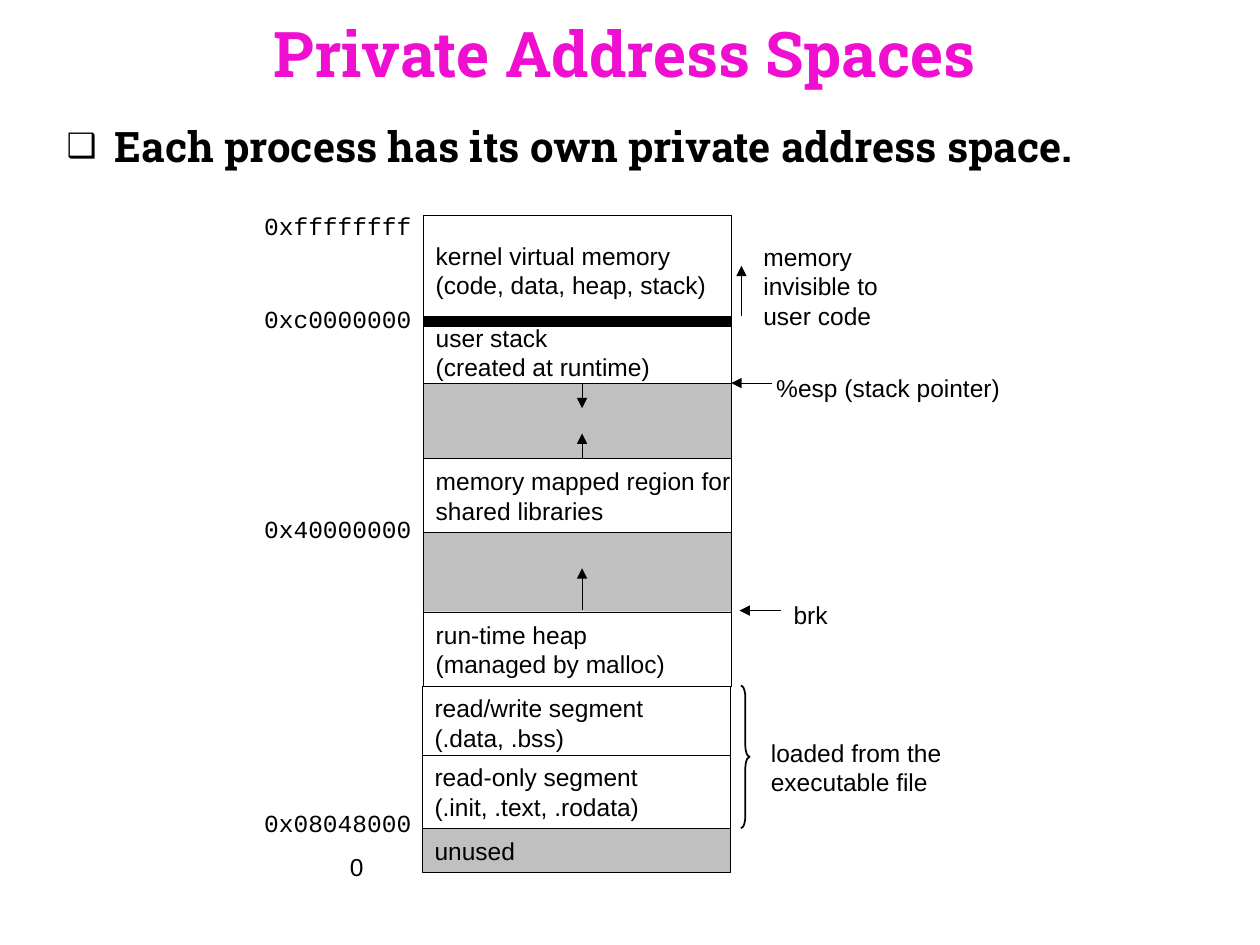
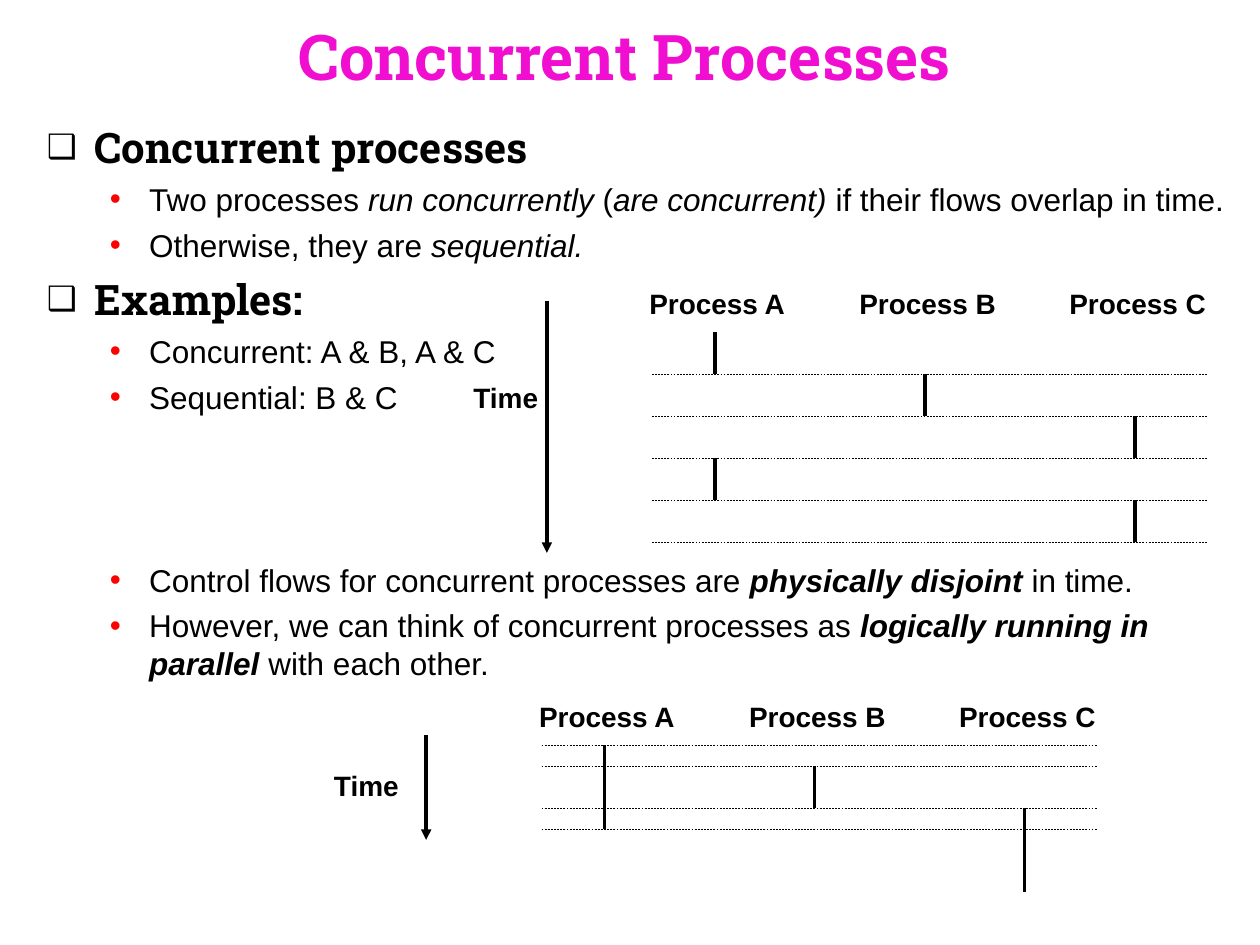
from dataclasses import dataclass

from lxml import etree
from pptx import Presentation
from pptx.dml.color import RGBColor
from pptx.enum import dml, shapes, text
from pptx.oxml import ns
from pptx.util import Pt


@dataclass(frozen=True)
class Theme:
    title_color: str = "F00ED0"
    ink: str = "000000"
    paper: str = "FFFFFF"
    unmapped: str = "C0C0C0"
    bullet: str = "FF0000"
    heading_font: str = "Roboto Slab"
    body_font: str = "Arial"
    code_font: str = "Courier New"
    title_size: float = 36
    heading_size: float = 24
    body_size: float = 18
    process_size: float = 16
    label_size: float = 14
    thin: float = 0.25
    thick: float = 2
    boundary: float = 6


THEME = Theme()


def color(value):
    return RGBColor.from_string(value)


def add_element(parent, tag, **attributes):
    return etree.SubElement(parent, ns.qn(tag), attributes)


def add_span(para, content, font=THEME.body_font, size=THEME.label_size,
             ink=THEME.ink, bold=False, italic=False):
    span = para.add_run()
    span.text = content
    span.font.name = font
    span.font.size = Pt(size)
    span.font.bold = bold
    span.font.italic = italic
    span.font.color.rgb = color(ink)


def write_lines(frame, content, align=text.PP_ALIGN.LEFT, wrap=False, **style):
    frame.word_wrap = wrap
    for index, line in enumerate(content.split("\n")):
        para = frame.paragraphs[0] if index == 0 else frame.add_paragraph()
        para.alignment = align
        add_span(para, line, **style)


def add_label(page, content, left, top, width, height=24.5, **style):
    box = page.shapes.add_textbox(Pt(left), Pt(top), Pt(width), Pt(height))
    box.text_frame.auto_size = text.MSO_AUTO_SIZE.SHAPE_TO_FIT_TEXT
    write_lines(box.text_frame, content, **style)


def add_line(page, start, end, width=THEME.thin, arrow=False, dashed=False):
    line = page.shapes.add_connector(
        shapes.MSO_CONNECTOR.STRAIGHT, *(Pt(value) for value in (*start, *end)))
    line.line.color.rgb = color(THEME.ink)
    line.line.width = Pt(width)
    if dashed:
        line.line.dash_style = dml.MSO_LINE.DASH
    if arrow:
        add_element(line.line._get_or_add_ln(), "a:tailEnd", type="triangle")
    add_element(line._element.spPr, "a:effectLst")


def add_page(deck, title, left, width, height):
    page = deck.slides.add_slide(deck.slide_layouts[5])
    box = page.shapes.title
    box.left, box.top, box.width, box.height = Pt(left), Pt(0), Pt(width), Pt(height)
    box.text_frame.auto_size = text.MSO_AUTO_SIZE.NONE
    box.text_frame.vertical_anchor = text.MSO_ANCHOR.MIDDLE
    write_lines(box.text_frame, title, align=text.PP_ALIGN.CENTER, wrap=True,
                font=THEME.heading_font, size=THEME.title_size,
                ink=THEME.title_color, bold=True)
    return page


def set_bullet(para, level):
    margin, indent, mark, ink = [
        (27.4, -27.4, "❑", THEME.ink), (58.5, -22.5, "•", THEME.bullet)][level]
    properties = para._p.get_or_add_pPr()
    properties.set("marL", str(Pt(margin)))
    properties.set("indent", str(Pt(indent)))
    add_element(add_element(properties, "a:buClr"), "a:srgbClr", val=ink)
    if level == 0:
        add_element(properties, "a:buSzPct", val="80000")
    add_element(properties, "a:buFont", typeface=THEME.body_font)
    add_element(properties, "a:buChar", char=mark)


def add_outline(page, left, top, width, height, items):
    frame = page.shapes.add_textbox(Pt(left), Pt(top), Pt(width), Pt(height)).text_frame
    frame.word_wrap = True
    for index, (level, gap, spans) in enumerate(items):
        para = frame.paragraphs[0] if index == 0 else frame.add_paragraph()
        para.level = level
        para.space_before = Pt(gap)
        set_bullet(para, level)
        for content, emphasis in spans:
            if level == 0:
                add_span(para, content, font=THEME.heading_font,
                         size=THEME.heading_size, bold=True)
            else:
                add_span(para, content, size=THEME.body_size,
                         bold="b" in emphasis, italic="i" in emphasis)


def add_region(page, left, top, width, height, fill, content):
    region = page.shapes.add_shape(
        shapes.MSO_SHAPE.RECTANGLE, Pt(left), Pt(top), Pt(width), Pt(height))
    region.shadow.inherit = False
    region.fill.solid()
    region.fill.fore_color.rgb = color(fill)
    region.line.color.rgb = color(THEME.ink)
    region.line.width = Pt(THEME.thin)
    if content:
        region.text_frame.vertical_anchor = text.MSO_ANCHOR.MIDDLE
        write_lines(region.text_frame, content)


def add_memory_map(page, left, top, width):
    image_shift = -0.7
    regions = [
        (0, 0, 62.6, THEME.paper, "kernel virtual memory\n(code, data, heap, stack)"),
        (0, 139, 42.2, THEME.paper, "memory mapped region for\nshared libraries"),
        (0, 181, 45.5, THEME.unmapped, ""),
        (0, 226.6, 42.2, THEME.paper, "run-time heap\n(managed by malloc)"),
        (0, 81.5, 57, THEME.unmapped, ""),
        (0, 60.5, 35.3, THEME.paper, "user stack\n(created at runtime)"),
        (image_shift, 350.4, 25.2, THEME.unmapped, "unused"),
        (image_shift, 268.8, 42.2, THEME.paper, "read/write segment\n(.data, .bss)"),
        (image_shift, 308.2, 42.2, THEME.paper, "read-only segment\n(.init, .text, .rodata)"),
    ]
    for shift, offset, height, fill, content in regions:
        add_region(page, left + shift, top + offset, width, height, fill, content)
    add_line(page, (left, top + 60.5), (left + width, top + 60.5), width=THEME.boundary)

    growth = 90.7
    pointers = [
        (growth, 225.4, growth, 201.6), (growth, 139, growth, 124.6),
        (growth, 95.8, growth, 110.2), (199.4, 95.8, width, 95.8),
        (181.8, 57.6, 181.8, 28.8), (204.5, 225.8, 180.7, 225.8),
    ]
    for x1, y1, x2, y2 in pointers:
        add_line(page, (left + x1, top + y1), (left + x2, top + y2), arrow=True)

    addresses = [("0xffffffff", -6.2), ("0xc0000000", 47),
                 ("0x40000000", 167), ("0x08048000", 335)]
    for address, offset in addresses:
        add_label(page, address, left - 98, top + offset, 98.6, font=THEME.code_font)
    notes = [
        ("0", -49, 360, 22.3, 24.5),
        ("%esp (stack pointer)", 194.6, 86.4, 144, 24.5),
        ("memory\ninvisible to\nuser code", 187.2, 11.5, 82, 57.6),
        ("brk", 204.5, 216, 34.5, 24.5),
        ("loaded from the\nexecutable file", 191.5, 295, 118, 41),
    ]
    for content, x, y, label_width, height in notes:
        add_label(page, content, left + x, top + y, label_width, height)

    brace = page.shapes.add_shape(
        shapes.MSO_SHAPE.RIGHT_BRACE, Pt(left + 181.5), Pt(top + 268.6), Pt(5), Pt(81.6))
    brace.shadow.inherit = False
    brace.adjustments[0] = 1.36
    brace.fill.background()
    brace.line.color.rgb = color(THEME.ink)
    brace.line.width = Pt(1)


def add_timeline(page, left, top, bars, guides):
    pitch, step, first_row = 120, 24, top + 30
    for column, name in enumerate("ABC"):
        add_label(page, f"Process {name}", left + pitch * column, top, 95, 26.6,
                  size=THEME.process_size, bold=True)
    for column, start, end in bars:
        x = left + 44.5 + pitch * column
        add_line(page, (x, first_row + step * start), (x, first_row + step * end),
                 width=THEME.thick)
    for row in guides:
        y = first_row + step * row
        add_line(page, (left + 8.5, y), (left + 326, y), dashed=True)


def add_time_axis(page, x, top, length, label_left, label_top):
    add_line(page, (x, top), (x, top + length), width=THEME.thick, arrow=True)
    add_label(page, "Time", label_left, label_top, 53, 26.6,
              size=THEME.process_size, bold=True)


def build_address_spaces(deck):
    page = add_page(deck, "Private Address Spaces", 36.7, 640.8, 60)
    add_outline(page, 31, 65.5, 654.5, 75.6, [
        (0, 0, [("Each process has its own private address space.", "")])])
    add_memory_map(page, 241.9, 123.1, 176)


def build_concurrent_processes(deck):
    page = add_page(deck, "Concurrent Processes", 42.5, 629.3, 63.4)
    heading_gap, item_gap, diagram_gap = 6, 4.5, 82.8
    add_outline(page, 19.7, 65.9, 692, 430.6, [
        (0, 0, [("Concurrent processes", "")]),
        (1, item_gap, [("Two processes ", ""), ("run concurrently", "i"), (" (", ""),
                       ("are concurrent)", "i"),
                       (" if their flows overlap in time.", "")]),
        (1, item_gap, [("Otherwise, they are ", ""), ("sequential.", "i")]),
        (0, heading_gap, [("Examples:", "")]),
        (1, item_gap, [("Concurrent: A & B, A & C", "")]),
        (1, item_gap, [("Sequential: B & C", "")]),
        (1, diagram_gap, [("Control flows for concurrent processes are ", ""),
                          ("physically disjoint", "bi"), (" in time.", "")]),
        (1, item_gap, [("However, we can think of concurrent processes as ", ""),
                       ("logically running in parallel", "bi"),
                       (" with each other.", "")]),
    ])
    add_time_axis(page, 312.5, 172, 144, 263.5, 213.8)
    add_timeline(page, 364, 160,
                 bars=[(0, 0, 1), (1, 1, 2), (2, 2, 3), (0, 3, 4), (2, 4, 5)],
                 guides=range(1, 6))
    add_time_axis(page, 243.5, 420, 60, 183.8, 435.6)
    add_timeline(page, 301, 396,
                 bars=[(0, 0, 1), (0, 1, 2), (1, 0.5, 1.5), (2, 1.5, 2.5), (2, 2.5, 3.5)],
                 guides=[0, 0.5, 1.5, 2])


def main():
    deck = Presentation()
    deck.slide_width, deck.slide_height = Pt(720), Pt(540)
    build_address_spaces(deck)
    build_concurrent_processes(deck)
    deck.save("out.pptx")


if __name__ == "__main__":
    main()
